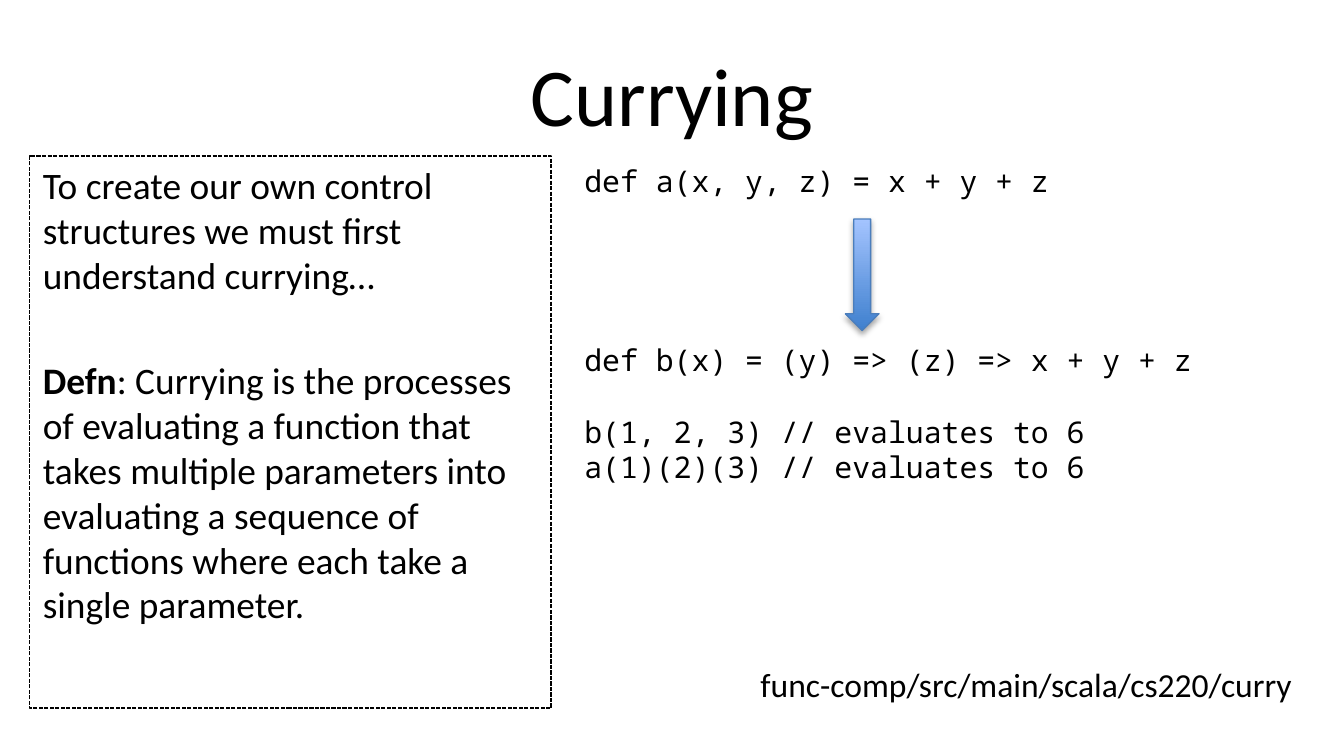
from dataclasses import dataclass

from lxml.etree import SubElement
from pptx import Presentation
from pptx.dml.color import RGBColor
from pptx.enum.dml import MSO_LINE
from pptx.enum.shapes import MSO_SHAPE
from pptx.enum.text import MSO_ANCHOR, MSO_AUTO_SIZE, PP_ALIGN
from pptx.oxml.ns import qn
from pptx.shapes.autoshape import Shape
from pptx.slide import Slide
from pptx.util import Inches, Pt


@dataclass(frozen=True)
class Theme:
    text_font: str = "Calibri"
    code_font: str = "Noto Sans Mono"
    title_size: int = 44
    body_size: int = 20
    code_size: int = 16
    path_size: int = 18
    black: RGBColor = RGBColor(0, 0, 0)
    arrow_dark: RGBColor = RGBColor(0x3F, 0x80, 0xCE)
    arrow_light: RGBColor = RGBColor(0xA4, 0xC4, 0xFF)
    arrow_line: RGBColor = RGBColor(0x4B, 0x7E, 0xBC)


@dataclass(frozen=True)
class Box:
    left: float
    top: float
    width: float
    height: float

    def lengths(self) -> tuple[Inches, ...]:
        return tuple(Inches(n) for n in (self.left, self.top, self.width, self.height))


@dataclass(frozen=True)
class Line:
    text: str
    space_before: float = 0
    bold_lead: str = ""


THEME = Theme()
CODE_PITCH = 19.2  # points from one code line to the next


def add_text(slide: Slide, box: Box, lines: list[Line], size: int,
             font: str = THEME.text_font, wrap: bool = True) -> Shape:
    shape = slide.shapes.add_textbox(*box.lengths())
    frame = shape.text_frame
    frame.word_wrap = wrap
    for index, line in enumerate(lines):
        paragraph = frame.paragraphs[0] if index == 0 else frame.add_paragraph()
        paragraph.space_before = Pt(line.space_before)
        paragraph.font.name = font
        paragraph.font.size = Pt(size)
        paragraph.font.color.rgb = THEME.black
        if line.bold_lead:
            lead = paragraph.add_run()
            lead.text = line.bold_lead
            lead.font.bold = True
        paragraph.add_run().text = line.text
    return shape


def add_down_arrow(slide: Slide, box: Box) -> Shape:
    arrow = slide.shapes.add_shape(MSO_SHAPE.DOWN_ARROW, *box.lengths())
    arrow.fill.gradient()
    arrow.fill.gradient_angle = 90
    for stop, color in zip(arrow.fill.gradient_stops,
                           (THEME.arrow_dark, THEME.arrow_light)):
        stop.color.rgb = color
    arrow.line.color.rgb = THEME.arrow_line
    arrow.line.width = Pt(0.75)

    # Soft shadow straight below
    arrow.shadow.inherit = False
    effects = arrow._element.spPr.find(qn("a:effectLst"))
    shadow = SubElement(effects, qn("a:outerShdw"), blurRad=str(Pt(3.1)),
                        dist=str(Pt(1.8)), dir="5400000", rotWithShape="0")
    color = SubElement(shadow, qn("a:srgbClr"), val="000000")
    SubElement(color, qn("a:alpha"), val="35000")
    return arrow


def main() -> None:
    presentation = Presentation()
    presentation.slide_width = Inches(10)
    presentation.slide_height = Inches(10 * 9 / 16)
    slide = presentation.slides.add_slide(presentation.slide_layouts[6])

    # Title
    title = add_text(slide, Box(0.5, 0.23, 9, 0.94), [Line("Currying")], THEME.title_size)
    title.text_frame.vertical_anchor = MSO_ANCHOR.MIDDLE
    title.text_frame.paragraphs[0].alignment = PP_ALIGN.CENTER

    # Definition in a dashed frame
    definition = add_text(slide, Box(0.22, 1.16, 3.88, 4.11), [
        Line("To create our own control structures we must first "
             "understand currying…", space_before=4),
        Line(": Currying is the processes of evaluating a function that takes "
             "multiple parameters into evaluating a sequence of functions where "
             "each take a single parameter.", space_before=32.4, bold_lead="Defn"),
    ], THEME.body_size)
    definition.line.color.rgb = THEME.black
    definition.line.width = Pt(0.75)
    definition.line.dash_style = MSO_LINE.SQUARE_DOT

    # Code before and after currying
    add_text(slide, Box(4.25, 1.16, 5.57, 2.52), [
        Line("def a(x, y, z) = x + y + z"),
        Line("def b(x) = (y) => (z) => x + y + z", space_before=4 * CODE_PITCH),
        Line("b(1, 2, 3) // evaluates to 6", space_before=CODE_PITCH),
        Line("a(1)(2)(3) // evaluates to 6"),
    ], THEME.code_size, THEME.code_font)

    # Source folder
    folder = add_text(slide, Box(5.56, 4.89, 4.22, 0.4),
                      [Line("func-comp/src/main/scala/cs220/curry")],
                      THEME.path_size, wrap=False)
    folder.text_frame.auto_size = MSO_AUTO_SIZE.SHAPE_TO_FIT_TEXT

    # Arrow from the plain to the curried function
    add_down_arrow(slide, Box(6.29, 1.63, 0.25, 0.83))

    presentation.save("out.pptx")


if __name__ == "__main__":
    main()
